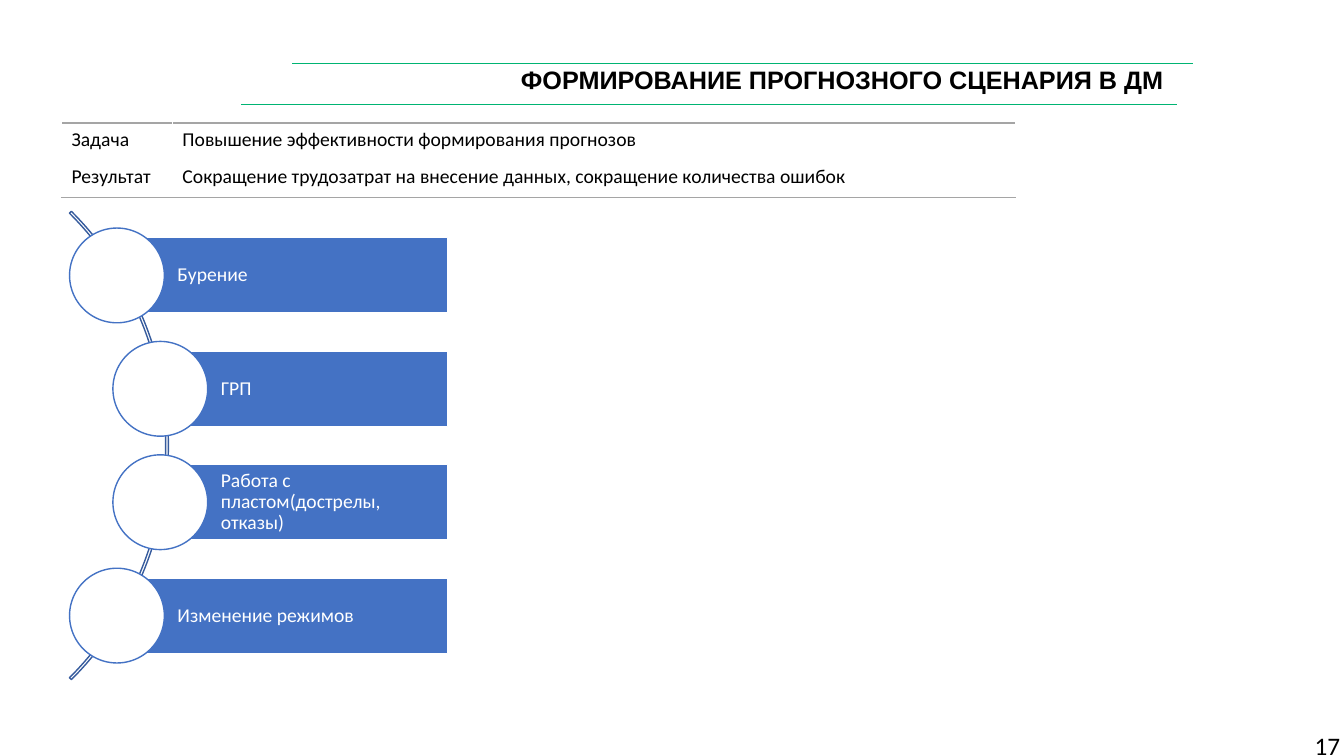
from lxml.etree import SubElement
from pptx import Presentation
from pptx.dml.color import RGBColor
from pptx.enum.shapes import MSO_CONNECTOR, MSO_SHAPE
from pptx.enum.text import MSO_ANCHOR, MSO_AUTO_SIZE, PP_ALIGN
from pptx.oxml import parse_xml
from pptx.oxml.ns import nsdecls, qn
from pptx.util import Inches, Pt

BLACK = RGBColor(0x00, 0x00, 0x00)
WHITE = RGBColor(0xFF, 0xFF, 0xFF)
GREEN = RGBColor(0x00, 0xB4, 0x73)
GRAY = RGBColor(0xA5, 0xA5, 0xA5)
BLUE = RGBColor(0x44, 0x72, 0xC4)
DARK_BLUE = RGBColor(0x36, 0x5B, 0x9D)

SUMMARY = [
    ("Задача", "Повышение эффективности формирования прогнозов"),
    ("Результат", "Сокращение трудозатрат на внесение данных, сокращение количества ошибок"),
]
STEPS = ["Бурение", "ГРП", "Работа с пластом(дострелы, отказы)", "Изменение режимов"]


def write_text(frame, text, size=14, font="Calibri", color=BLACK, bold=False,
               align=PP_ALIGN.LEFT, line_spacing=None):
    paragraph = frame.paragraphs[0]
    paragraph.alignment = align
    paragraph.line_spacing = line_spacing
    run = paragraph.add_run()
    run.text = text
    run.font.name = font
    run.font.size = Pt(size)
    run.font.bold = bold
    run.font.color.rgb = color


def add_rule(slide, left, right, top):
    rule = slide.shapes.add_connector(
        MSO_CONNECTOR.STRAIGHT, Inches(left), Inches(top), Inches(right), Inches(top))
    rule.line.color.rgb = GREEN
    rule.line.width = Pt(0.5)
    SubElement(rule._element.spPr, qn("a:effectLst"))


def add_title(slide, left, top, width, height):
    add_rule(slide, left - 0.75, left + width + 0.03, top + 0.45)
    add_rule(slide, left - 0.24, left + width + 0.19, top + 0.04)
    title = slide.shapes.title
    title.left, title.top = Inches(left), Inches(top)
    title.width, title.height = Inches(width), Inches(height)
    frame = title.text_frame
    frame.auto_size = MSO_AUTO_SIZE.NONE
    frame.vertical_anchor = MSO_ANCHOR.TOP
    write_text(frame, "ФОРМИРОВАНИЕ ПРОГНОЗНОГО СЦЕНАРИЯ В ДМ", size=18,
               font="Arial", bold=True, align=PP_ALIGN.RIGHT)


def add_page_number(slide, left, top, width, height):
    box = slide.shapes.add_textbox(Inches(left), Inches(top), Inches(width), Inches(height))
    box.text_frame.word_wrap = True
    write_text(box.text_frame, "17", size=18, align=PP_ALIGN.RIGHT)


def set_border(cell, side):
    """Draw one edge of a cell; side is the XML name lnT or lnB."""
    border = parse_xml(
        f'<a:{side} {nsdecls("a")} w="{Pt(1)}"><a:solidFill>'
        f'<a:srgbClr val="{GRAY}"/></a:solidFill></a:{side}>')
    cell._tc.get_or_add_tcPr().insert(0, border)


def add_summary_table(slide, left, top, width, height):
    label_width = 1.1
    table = slide.shapes.add_table(
        len(SUMMARY), 2, Inches(left), Inches(top), Inches(width), Inches(height)).table
    table.first_row = False
    table.horz_banding = False
    table.columns[0].width = Inches(label_width)
    table.columns[1].width = Inches(width - label_width)
    for row, texts in enumerate(SUMMARY):
        for column, text in enumerate(texts):
            cell = table.cell(row, column)
            cell.fill.background()
            write_text(cell.text_frame, text)
            set_border(cell, "lnT" if row == 0 else "lnB")


def add_outlined_shape(shapes, kind, left, top, width, height, line, fill=None):
    shape = shapes.add_shape(kind, Inches(left), Inches(top), Inches(width), Inches(height))
    shape.shadow.inherit = False
    if fill is None:
        shape.fill.background()
    else:
        shape.fill.solid()
        shape.fill.fore_color.rgb = fill
    shape.line.color.rgb = line
    shape.line.width = Pt(1)
    return shape


def add_step_bar(shapes, text, left, top, width, height):
    bar = add_outlined_shape(shapes, MSO_SHAPE.RECTANGLE, left, top, width, height, WHITE, BLUE)
    frame = bar.text_frame
    frame.word_wrap = True
    frame.vertical_anchor = MSO_ANCHOR.MIDDLE
    frame.margin_left = Inches(0.6)
    frame.margin_top = frame.margin_right = frame.margin_bottom = Inches(0.04)
    write_text(frame, text, color=WHITE, line_spacing=0.9)


def add_curved_list(slide, left, top, width, height):
    """Step bars with circles at their left ends, strung along an arc."""
    shapes = slide.shapes.add_group_shape().shapes
    arc_size, circle_size, bar_height = 6.57, 0.94, 0.75
    arc = add_outlined_shape(
        shapes, MSO_SHAPE.BLOCK_ARC, left + 0.98 - arc_size,
        top + (height - arc_size) / 2, arc_size, arc_size, DARK_BLUE)
    for index, value in enumerate((189, 27, 0.004)):
        arc.adjustments[index] = value

    pitch = height / len(STEPS)
    for index, text in enumerate(STEPS):
        indent = 0 if index in (0, len(STEPS) - 1) else 0.43
        center_x = left + indent + circle_size / 2
        center_y = top + (index + 0.5) * pitch
        add_step_bar(shapes, text, center_x, center_y - bar_height / 2,
                     left + width - center_x, bar_height)
        add_outlined_shape(shapes, MSO_SHAPE.OVAL, left + indent, center_y - circle_size / 2,
                           circle_size, circle_size, BLUE, WHITE)


def main():
    presentation = Presentation()
    presentation.slide_width = Inches(13.33)
    presentation.slide_height = Inches(7.5)
    slide = presentation.slides.add_slide(presentation.slide_layouts[5])
    add_title(slide, 3.14, 0.59, 8.5, 0.4)
    add_page_number(slide, 10.39, 7.2, 3, 0.4)
    add_summary_table(slide, 0.61, 1.22, 9.46, 0.74)
    add_curved_list(slide, 0.69, 2.17, 3.75, 4.5)
    presentation.save("out.pptx")


if __name__ == "__main__":
    main()
